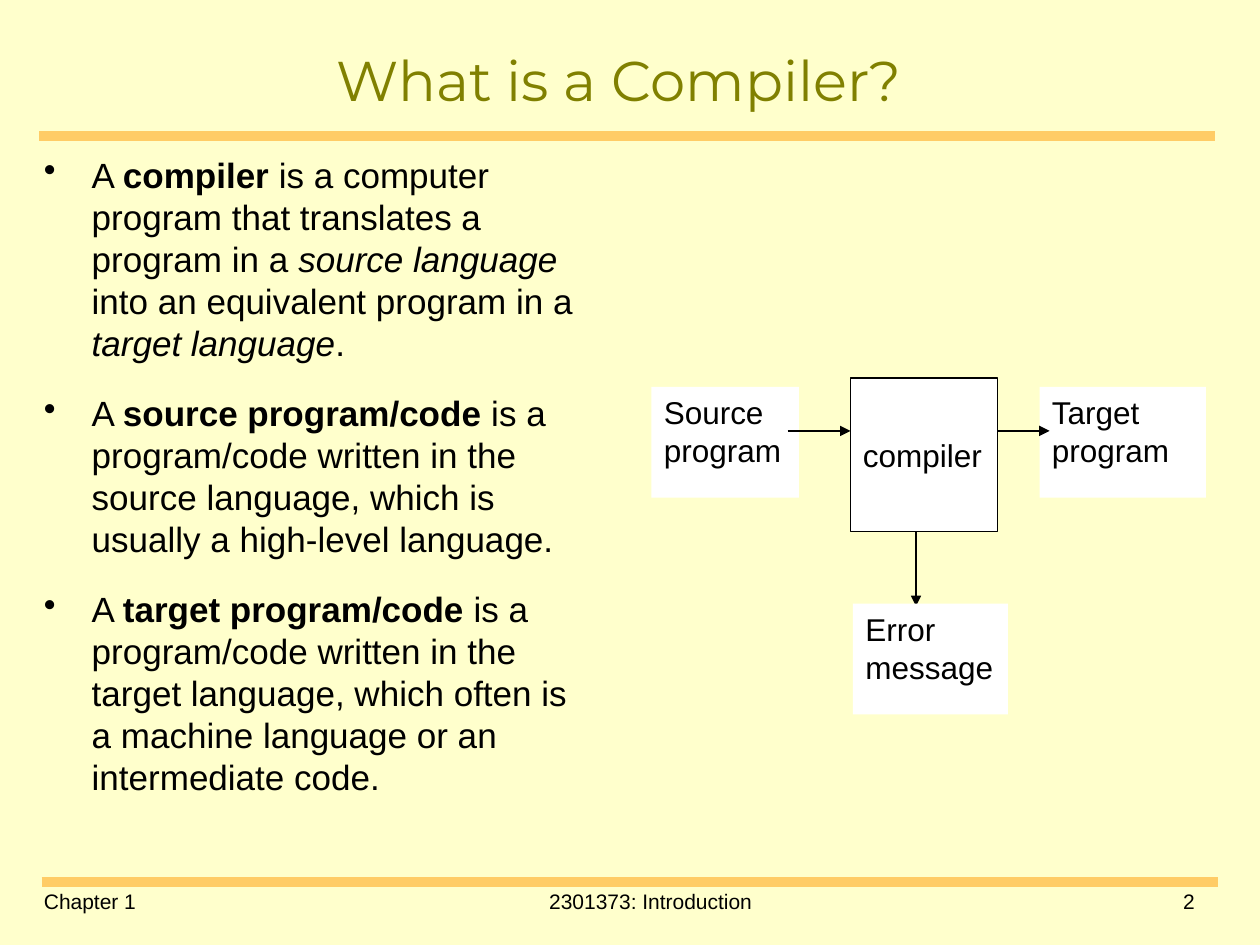
from pptx import Presentation
from pptx.dml.color import RGBColor
from pptx.enum.shapes import MSO_CONNECTOR as Connector, MSO_SHAPE as Shape
from pptx.enum.text import MSO_ANCHOR as Anchor, PP_ALIGN as Align
from pptx.oxml.ns import qn
from pptx.util import Inches, Pt
from lxml.etree import SubElement

CREAM = RGBColor(0xFF, 0xFF, 0xCC)
ORANGE = RGBColor(0xFF, 0xCC, 0x66)
OLIVE = RGBColor(0x80, 0x80, 0x00)
BLACK = RGBColor(0, 0, 0)
WHITE = RGBColor(0xFF, 0xFF, 0xFF)

DEFINITIONS = [
    [("A ", ""), ("compiler", "bold"),
     (" is a computer program that translates a program in a ", ""),
     ("source language", "italic"),
     (" into an equivalent program in a ", ""),
     ("target language", "italic"), (".", "")],
    [("A ", ""), ("source program/code", "bold"),
     (" is a program/code written in the source language, "
      "which is usually a high-level language.", "")],
    [("A ", ""), ("target program/code", "bold"),
     (" is a program/code written in the target language, "
      "which often is a machine language or an intermediate code.", "")],
]


class SlideBuilder:
    body_font = "Arial"
    title_font = "Montserrat"

    def __init__(self, slide):
        self.slide = slide
        slide.background.fill.solid()
        slide.background.fill.fore_color.rgb = CREAM

    def set_font(self, paragraph, size, color=BLACK, name=None):
        paragraph.font.name = name or self.body_font
        paragraph.font.size = Pt(size)
        paragraph.font.color.rgb = color

    def text(self, bounds, text, size, align=Align.LEFT, anchor=Anchor.TOP,
             color=BLACK, font=None):
        shape = self.slide.shapes.add_textbox(*map(Inches, bounds))
        frame = shape.text_frame
        frame.word_wrap = True
        frame.vertical_anchor = anchor
        paragraph = frame.paragraphs[0]
        paragraph.text = text
        paragraph.alignment = align
        self.set_font(paragraph, size, color, font)

    def bullets(self, bounds, items, size):
        shape = self.slide.shapes.add_textbox(*map(Inches, bounds))
        frame = shape.text_frame
        frame.word_wrap = True
        for index, item in enumerate(items):
            paragraph = frame.add_paragraph() if index else frame.paragraphs[0]
            if index:
                paragraph.space_before = Pt(5)
            paragraph.space_after = Pt(11)
            properties = paragraph._p.get_or_add_pPr()
            properties.set("marL", str(Inches(0.38)))
            properties.set("indent", str(Inches(-0.38)))
            SubElement(properties, qn("a:buChar")).set("char", "•")
            self.set_font(paragraph, size)
            for text, emphasis in item:
                run = paragraph.add_run()
                run.text = text
                if emphasis == "bold":
                    run.font.bold = True
                elif emphasis == "italic":
                    run.font.italic = True

    def box(self, bounds, text, anchor=Anchor.TOP, outlined=False):
        shape = self.slide.shapes.add_shape(Shape.RECTANGLE, *map(Inches, bounds))
        shape.shadow.inherit = False
        shape.fill.solid()
        shape.fill.fore_color.rgb = WHITE
        if outlined:
            shape.line.color.rgb = BLACK
            shape.line.width = Pt(0.75)
        else:
            shape.line.fill.background()
        frame = shape.text_frame
        frame.word_wrap = True
        frame.vertical_anchor = anchor
        paragraph = frame.paragraphs[0]
        paragraph.text = text
        paragraph.alignment = Align.LEFT
        self.set_font(paragraph, 18)

    def line(self, start, end, color=BLACK, width=0.75, arrow=False):
        connector = self.slide.shapes.add_connector(
            Connector.STRAIGHT, *map(Inches, (*start, *end)))
        connector.line.color.rgb = color
        connector.line.width = Pt(width)
        if arrow:
            outline = connector.line._get_or_add_ln()
            SubElement(outline, qn("a:tailEnd")).set("type", "triangle")
        SubElement(connector._element.spPr, qn("a:effectLst"))


def main():
    presentation = Presentation()
    presentation.slide_width = Inches(10)
    presentation.slide_height = Inches(7.5)
    builder = SlideBuilder(presentation.slides.add_slide(presentation.slide_layouts[6]))

    builder.line((0.31, 1.08), (9.64, 1.08), ORANGE, 6)
    builder.line((0.33, 7), (9.67, 7), ORANGE, 6)
    builder.text((0.25, 0.25, 9.33, 0.75), "What is a Compiler?", 32,
                 Align.CENTER, Anchor.MIDDLE, OLIVE, builder.title_font)
    builder.bullets((0.25, 1.17, 4.57, 5.75), DEFINITIONS, 20)

    builder.box((6.75, 3, 1.17, 1.22), "compiler", Anchor.MIDDLE, outlined=True)
    builder.line((7.27, 4.22), (7.27, 4.81), arrow=True)
    for left, top, width, label in [
        (5.17, 3.07, 1.17, "Source program"),
        (8.25, 3.07, 1.32, "Target program"),
        (6.77, 4.79, 1.23, "Error message"),
    ]:
        builder.box((left, top, width, 0.88), label)
    for start, end in [(6.25, 6.75), (7.92, 8.33)]:
        builder.line((start, 3.42), (end, 3.42), arrow=True)

    for left, width, label, align in [
        (2.58, 5.17, "2301373: Introduction", Align.CENTER),
        (8.33, 1.25, "2", Align.RIGHT),
        (0.25, 2.25, "Chapter 1", Align.LEFT),
    ]:
        builder.text((left, 7, width, 0.33), label, 12, align)

    presentation.save("out.pptx")


if __name__ == "__main__":
    main()
